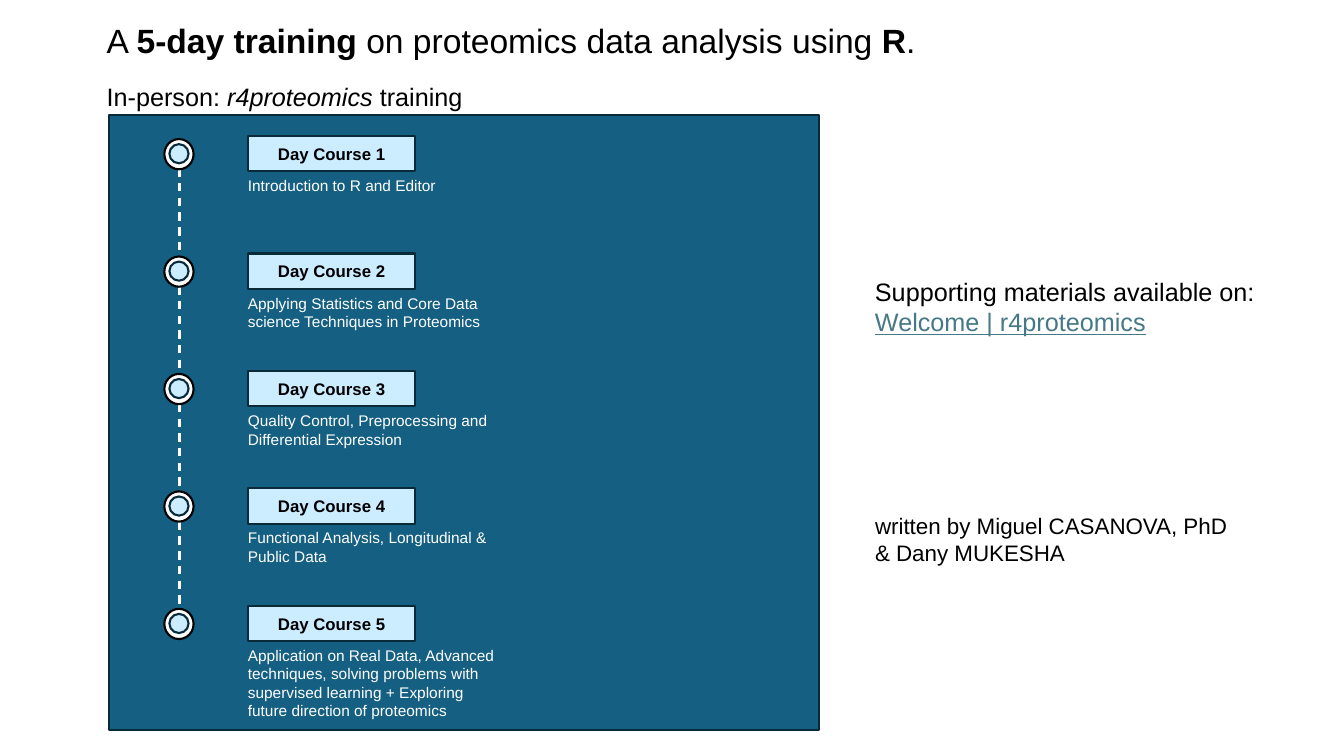
from lxml.etree import SubElement
from pptx import Presentation
from pptx.dml.color import RGBColor
from pptx.enum.dml import MSO_LINE_DASH_STYLE as Dash
from pptx.enum.shapes import MSO_CONNECTOR as Connector, MSO_SHAPE as Shape
from pptx.enum.text import MSO_ANCHOR as Anchor, PP_ALIGN as Align
from pptx.oxml.ns import qn
from pptx.util import Inches, Pt

WHITE, BLACK = "FFFFFF", "000000"
TEAL, NAVY, SKY, LINK = "156082", "092A39", "CCECFF", "467886"
FIRST_TOP, DAY_PITCH = 1.35, 1.165
COURSES = [
    ("Introduction to R and Editor", 0.29),
    ("Applying Statistics and Core Data science Techniques in Proteomics", 0.47),
    ("Quality Control, Preprocessing and Differential Expression", 0.47),
    ("Functional Analysis, Longitudinal & Public Data", 0.47),
    ("Application on Real Data, Advanced techniques, solving problems with "
     "supervised learning + Exploring future direction of proteomics", 0.84),
]


def rgb(color):
    return RGBColor.from_string(color)


def write(paragraph, text, size=18, color=BLACK, bold=False, italic=False, underline=False):
    run = paragraph.add_run()
    run.text = text
    font = run.font
    font.name, font.size = "Arial", Pt(size)
    font.bold, font.italic, font.underline = bold, italic, underline
    font.color.rgb = rgb(color)


def add_panel(shapes, kind, left, top, width, height, fill, outline):
    panel = shapes.add_shape(kind, Inches(left), Inches(top), Inches(width), Inches(height))
    panel.shadow.inherit = False
    panel.fill.solid()
    panel.fill.fore_color.rgb = rgb(fill)
    panel.line.color.rgb = rgb(outline)
    panel.line.width = Pt(1.5)
    return panel


def add_caption(shapes, left, top, width, height, *parts, **base):
    caption = shapes.add_textbox(Inches(left), Inches(top), Inches(width), Inches(height))
    caption.text_frame.word_wrap = True
    for text, emphasis in parts:
        write(caption.text_frame.paragraphs[0], text, **{**base, **emphasis})


def add_timeline(shapes, x, top, bottom):
    timeline = shapes.add_connector(
        Connector.STRAIGHT, Inches(x), Inches(top), Inches(x), Inches(bottom))
    timeline.line.color.rgb = rgb(WHITE)
    timeline.line.width = Pt(1.5)
    timeline.line.dash_style = Dash.DASH
    SubElement(timeline._element.spPr, qn("a:effectLst"))


def add_day(shapes, number, topic, topic_height):
    top = FIRST_TOP + (number - 1) * DAY_PITCH
    day = shapes.add_group_shape().shapes
    add_panel(day, Shape.OVAL, 1.63, top + 0.03, 0.29, 0.3, WHITE, BLACK)
    add_panel(day, Shape.OVAL, 1.68, top + 0.08, 0.19, 0.19, SKY, NAVY)
    heading = add_panel(day, Shape.RECTANGLE, 2.46, top, 1.66, 0.35, SKY, NAVY).text_frame
    heading.vertical_anchor = Anchor.MIDDLE
    heading.paragraphs[0].alignment = Align.CENTER
    write(heading.paragraphs[0], f"Day Course {number}", size=12, bold=True)
    add_caption(day, 2.36, top + 0.35, 2.68, topic_height, (topic, {}), size=11, color=WHITE)


def main():
    deck = Presentation()
    deck.slide_width, deck.slide_height = Inches(13.33), Inches(7.5)
    shapes = deck.slides.add_slide(deck.slide_layouts[6]).shapes

    add_panel(shapes, Shape.RECTANGLE, 1.08, 1.14, 7.04, 6.1, TEAL, NAVY)
    add_timeline(shapes, 1.78, 1.67, 6.04)
    for number, (topic, topic_height) in enumerate(COURSES, 1):
        add_day(shapes, number, topic, topic_height)

    add_caption(shapes, 0.96, 0.76, 5.18, 0.4,
                ("In-person: ", {}), ("r4proteomics", {"italic": True}), (" training", {}))
    add_caption(shapes, 0.96, 0.15, 8.59, 0.5,
                ("A ", {}), ("5-day training", {"bold": True}),
                (" on proteomics data analysis using ", {}), ("R", {"bold": True}), (".", {}),
                size=24)
    add_caption(shapes, 8.58, 2.69, 4, 0.71,
                ("Supporting materials available on: ", {}),
                ("Welcome | r4proteomics", {"color": LINK, "underline": True}))
    add_caption(shapes, 8.58, 5.03, 3.75, 0.64,
                ("written by Miguel CASANOVA, PhD & Dany MUKESHA", {}), size=16)

    deck.save("out.pptx")


if __name__ == "__main__":
    main()
